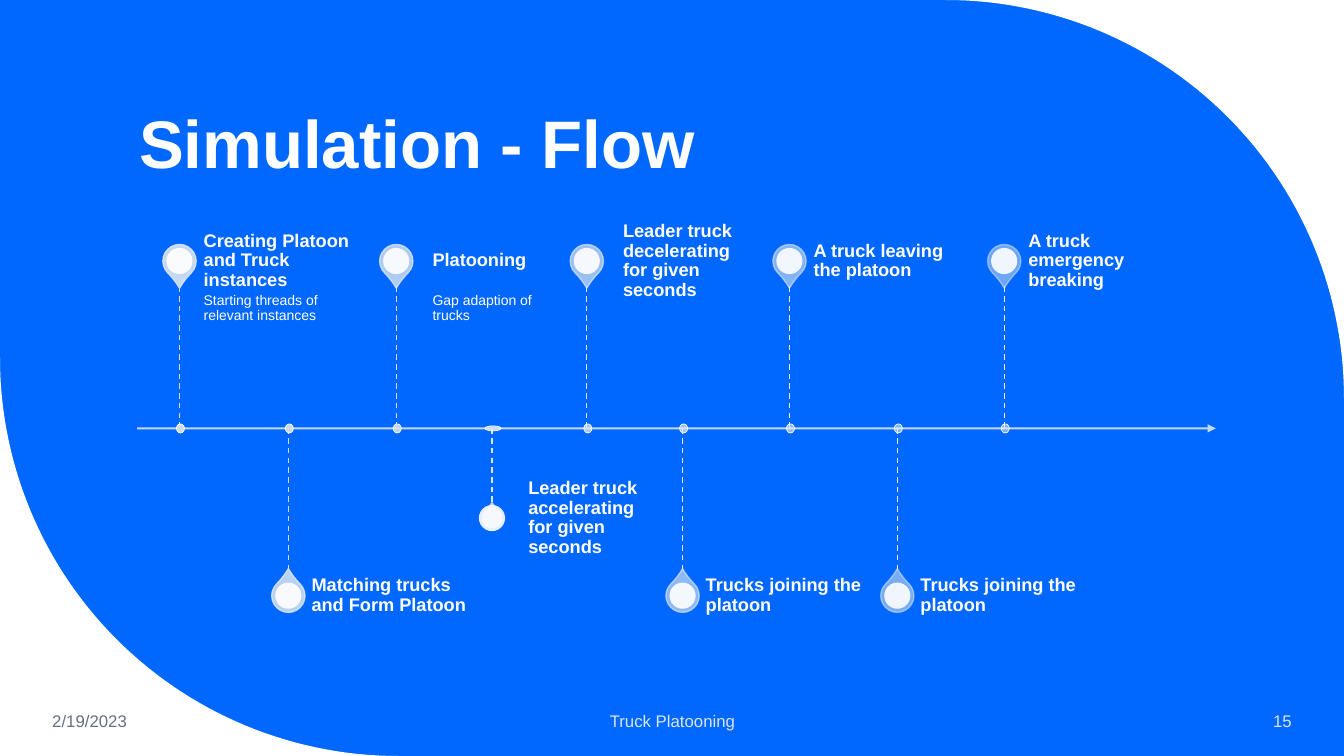
from dataclasses import dataclass
from math import cos, pi, sin

from lxml.etree import SubElement
from pptx import Presentation
from pptx.dml.color import RGBColor
from pptx.enum.dml import MSO_LINE
from pptx.enum.shapes import MSO_CONNECTOR, MSO_SHAPE
from pptx.enum.text import MSO_ANCHOR, MSO_AUTO_SIZE, PP_ALIGN
from pptx.oxml.ns import qn
from pptx.util import Inches, Pt

BLUE = RGBColor(0x00, 0x68, 0xFF)
WHITE = RGBColor(0xFF, 0xFF, 0xFF)
PALE = RGBColor(0xDA, 0xE5, 0xEF)
GRAY = RGBColor(0x63, 0x71, 0x83)
STEM_COLORS = [RGBColor.from_string(value) for value in (
    "D0DBE4", "D4DEE7", "D7E1EA", "DBE4EC", "DEE7EE",
    "E2EAF1", "E6EDF3", "EAF0F5", "EEF3F7")]

WIDTH, HEIGHT = 13.33, 7.5
CORNER_RADIUS = 3.95
AXIS_Y = 4.25
UPPER_Y, LOWER_Y = 2.59, 5.91
DISC = 0.26


@dataclass
class Milestone:
    x: float
    label: str
    label_left: float
    label_width: float
    center_y: float
    detail: str = ""
    drop: float = 0.33
    tip: float = 0.25
    dot_width: float = 0.08
    dot_height: float = 0.09


MILESTONES = [
    Milestone(1.78, "Creating Platoon and Truck instances", 2.02, 1.68, UPPER_Y,
              "Starting threads of relevant instances"),
    Milestone(2.86, "Matching trucks and Form Platoon", 3.09, 1.68, LOWER_Y),
    Milestone(3.93, "Platooning", 4.29, 1.44, UPPER_Y, "Gap adaption of trucks"),
    Milestone(4.88, "Leader truck accelerating for given seconds", 5.24, 1.43, 5.14,
              drop=0.19, tip=0.13, dot_width=0.16, dot_height=0.05),
    Milestone(5.82, "Leader truck decelerating for given seconds", 6.18, 1.43, UPPER_Y),
    Milestone(6.77, "Trucks joining the platoon", 7.0, 1.67, LOWER_Y),
    Milestone(7.83, "A truck leaving the platoon", 8.07, 1.67, UPPER_Y),
    Milestone(8.9, "Trucks joining the platoon", 9.13, 1.67, LOWER_Y),
    Milestone(9.96, "A truck emergency breaking", 10.2, 1.67, UPPER_Y),
]


def write_text(shape, text, size, color=WHITE, bold=False, align=PP_ALIGN.LEFT,
               anchor=MSO_ANCHOR.MIDDLE, spacing=1.0, insets=(0.1, 0.05, 0.1, 0.05)):
    frame = shape.text_frame
    frame.word_wrap = True
    frame.auto_size = MSO_AUTO_SIZE.NONE
    frame.vertical_anchor = anchor
    (frame.margin_left, frame.margin_top,
     frame.margin_right, frame.margin_bottom) = map(Inches, insets)
    paragraph = frame.paragraphs[0]
    paragraph.alignment = align
    paragraph.line_spacing = spacing
    run = paragraph.add_run()
    run.text = text
    run.font.name = "Arial"
    run.font.size = Pt(size)
    run.font.bold = bold
    run.font.color.rgb = color


def set_opacity(line_or_fill_element, percent):
    color = next(line_or_fill_element.iter(qn("a:srgbClr")))
    SubElement(color, qn("a:alpha")).set("val", str(int(percent * 1000)))


class TimelineSlide:
    def __init__(self, presentation):
        self.slide = presentation.slides.add_slide(presentation.slide_layouts[5])
        self.shapes = self.slide.shapes
        background = self.slide.background.fill
        background.solid()
        background.fore_color.rgb = BLUE

    def title(self, text):
        title = self.shapes.title
        title.left, title.top = Inches(1.28), Inches(0.42)
        title.width, title.height = Inches(10.69), Inches(1.45)
        write_text(title, text, 48, bold=True, anchor=MSO_ANCHOR.BOTTOM, spacing=0.9)

    def corner(self, corner_x, corner_y, center_x, center_y, start_angle):
        angles = [start_angle + pi / 2 * step / 60 for step in range(61)]
        arc = [(Inches(center_x + CORNER_RADIUS * cos(angle)),
                Inches(center_y + CORNER_RADIUS * sin(angle))) for angle in angles]
        builder = self.shapes.build_freeform(Inches(corner_x), Inches(corner_y))
        builder.add_line_segments(arc, close=True)
        self.paint(builder.convert_to_shape(), WHITE)

    def paint(self, shape, color, opacity=100, line_color=None, line_width=1,
              line_opacity=100):
        shape.shadow.inherit = False
        shape.fill.solid()
        shape.fill.fore_color.rgb = color
        set_opacity(shape.fill._xPr.find(qn("a:solidFill")), opacity)
        if line_color is None:
            shape.line.fill.background()
            return
        shape.line.color.rgb = line_color
        shape.line.width = Pt(line_width)
        set_opacity(shape.line._ln, line_opacity)

    def centered(self, kind, x, y, width, height, color, **style):
        shape = self.shapes.add_shape(kind, Inches(x - width / 2), Inches(y - height / 2),
                                      Inches(width), Inches(height))
        self.paint(shape, color, **style)
        return shape

    def text(self, text, left, top, width, height, size, **style):
        box = self.shapes.add_textbox(Inches(left), Inches(top), Inches(width), Inches(height))
        write_text(box, text, size, **style)

    def line(self, x1, y1, x2, y2, color, width):
        line = self.shapes.add_connector(MSO_CONNECTOR.STRAIGHT, Inches(x1), Inches(y1),
                                         Inches(x2), Inches(y2))
        line.line.color.rgb = color
        line.line.width = Pt(width)
        SubElement(line._element.spPr, qn("a:effectLst"))
        return line

    def axis(self):
        axis = self.line(1.36, AXIS_Y, 12.06, AXIS_Y, PALE, 1.5)
        set_opacity(axis.line._ln, 90)
        SubElement(axis.line._ln, qn("a:tailEnd")).set("type", "triangle")

    def milestone(self, index, item):
        above = item.center_y < AXIS_Y
        opacity = 90 - 5 * index
        drop = self.centered(MSO_SHAPE.TEAR, item.x, item.center_y, item.drop, item.drop,
                             PALE, opacity=opacity, line_color=PALE, line_opacity=opacity)
        drop.adjustments[0] = 1.15
        drop.rotation = 135 if above else 315
        self.centered(MSO_SHAPE.OVAL, item.x, item.center_y, DISC, DISC, WHITE, opacity=90)

        if item.detail:
            self.text(item.detail, item.label_left, 2.84, item.label_width, 1.41, 10,
                      anchor=MSO_ANCHOR.TOP, spacing=0.9, insets=(0, 0.07, 0.07, 0.1))
        self.text(item.label, item.label_left, item.center_y - item.tip, item.label_width,
                  2 * item.tip, 13, bold=True, spacing=0.9, insets=(0, 0, 0.09, 0))

        color = STEM_COLORS[index]
        top, bottom = ((item.center_y + item.tip, AXIS_Y) if above
                       else (AXIS_Y, item.center_y - item.tip))
        stem = self.line(item.x, top, item.x, bottom, color, 1)
        stem.line.dash_style = MSO_LINE.DASH
        self.centered(MSO_SHAPE.OVAL, item.x + 0.01, AXIS_Y, item.dot_width, item.dot_height,
                      color, opacity=100 - 6.25 * index, line_color=WHITE, line_width=0.5)


def main():
    presentation = Presentation()
    presentation.slide_width, presentation.slide_height = Inches(WIDTH), Inches(HEIGHT)
    timeline = TimelineSlide(presentation)
    timeline.corner(WIDTH, 0, WIDTH - CORNER_RADIUS, CORNER_RADIUS, -pi / 2)
    timeline.corner(0, HEIGHT, CORNER_RADIUS, HEIGHT - CORNER_RADIUS, pi / 2)
    timeline.title("Simulation - Flow")
    timeline.axis()
    for index, item in enumerate(MILESTONES):
        timeline.milestone(index, item)
    for text, left, width, color, align in (
            ("2/19/2023", 0.42, 1.86, GRAY, PP_ALIGN.LEFT),
            ("Truck Platooning", 4.42, 4.5, PALE, PP_ALIGN.CENTER),
            ("15", 11.1, 1.81, PALE, PP_ALIGN.RIGHT)):
        timeline.text(text, left, 6.95, width, 0.4, 12, color=color, align=align)
    presentation.save("out.pptx")


if __name__ == "__main__":
    main()
